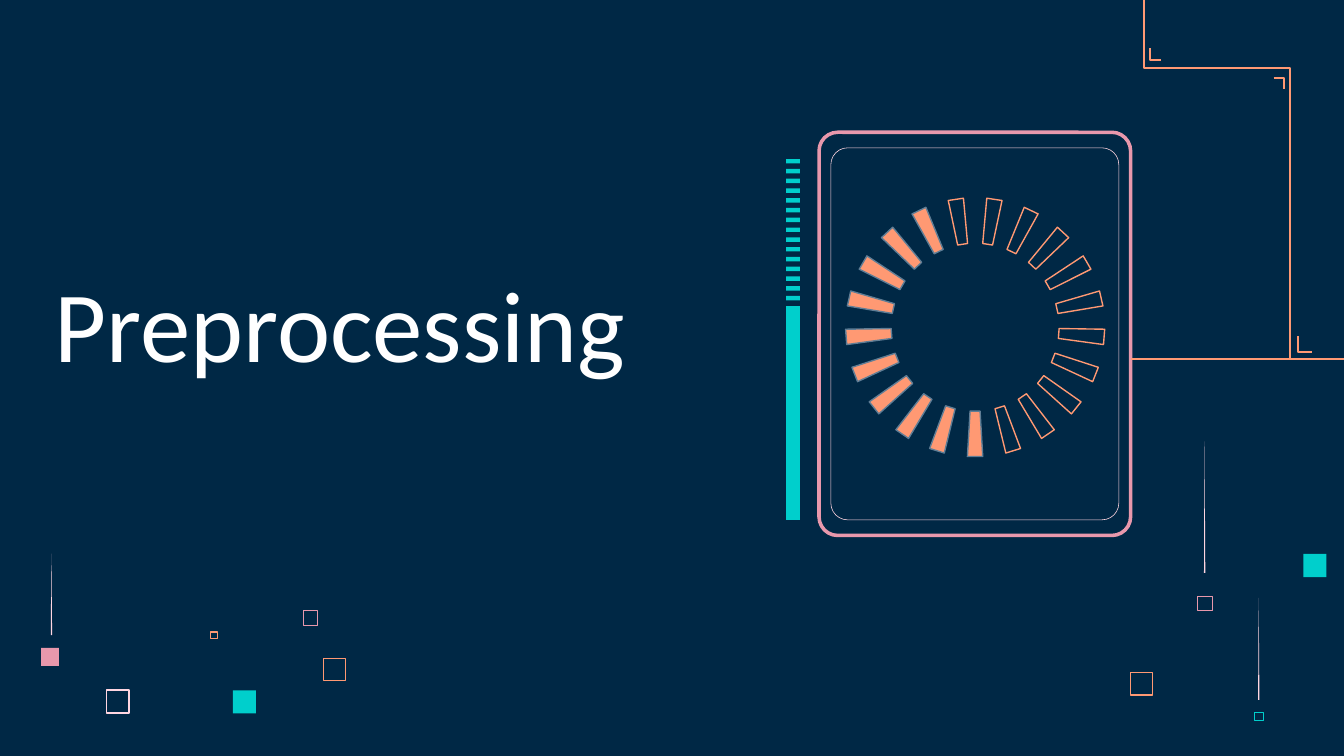
from dataclasses import dataclass
from math import cos, radians, sin
from typing import Optional

from pptx import Presentation
from pptx.dml.color import RGBColor
from pptx.enum.shapes import MSO_CONNECTOR, MSO_SHAPE
from pptx.enum.text import MSO_ANCHOR
from pptx.oxml.xmlchemy import OxmlElement
from pptx.util import Pt

NAVY = RGBColor(0x00, 0x28, 0x45)
WHITE = RGBColor(0xFF, 0xFF, 0xFF)
PALE_PINK = RGBColor(0xFF, 0xD6, 0xE1)
PINK = RGBColor(0xE8, 0x98, 0xAC)
ORANGE = RGBColor(0xFF, 0x99, 0x73)
TEAL = RGBColor(0x00, 0xCF, 0xCC)
SLATE = RGBColor(0x5F, 0x7D, 0x95)

Points = list[tuple[float, float]]


@dataclass(frozen=True)
class Style:
    fill: Optional[RGBColor] = None
    line: Optional[RGBColor] = None
    width: float = 0.75


@dataclass(frozen=True)
class Box:
    left: float
    top: float
    width: float
    height: float
    style: Style
    radius: float = 0


@dataclass(frozen=True)
class Path:
    points: Points
    style: Style
    closed: bool = True


def apply_style(shape, style: Style) -> None:
    shape.shadow.inherit = False
    if style.fill is None:
        shape.fill.background()
    else:
        shape.fill.solid()
        shape.fill.fore_color.rgb = style.fill
    if style.line is None:
        shape.line.fill.background()
    else:
        shape.line.color.rgb = style.line
        shape.line.width = Pt(style.width)


def draw_box(slide, box: Box) -> None:
    kind = MSO_SHAPE.ROUNDED_RECTANGLE if box.radius else MSO_SHAPE.RECTANGLE
    shape = slide.shapes.add_shape(
        kind, Pt(box.left), Pt(box.top), Pt(box.width), Pt(box.height)
    )
    if box.radius:
        shape.adjustments[0] = box.radius / min(box.width, box.height)
    apply_style(shape, box.style)


def draw_path(slide, path: Path) -> None:
    start, *rest = [(Pt(x), Pt(y)) for x, y in path.points]
    builder = slide.shapes.build_freeform(*start)
    builder.add_line_segments(rest, close=path.closed)
    apply_style(builder.convert_to_shape(), path.style)


def draw_line(slide, x1: float, y1: float, x2: float, y2: float, style: Style) -> None:
    connector = slide.shapes.add_connector(
        MSO_CONNECTOR.STRAIGHT, Pt(x1), Pt(y1), Pt(x2), Pt(y2)
    )
    connector.line.color.rgb = style.line
    connector.line.width = Pt(style.width)
    connector._element.spPr.append(OxmlElement("a:effectLst"))


def square(left: float, top: float, size: float, style: Style) -> Box:
    return Box(left, top, size, size, style)


def streak(left: float, top: float, height: float) -> Path:
    bottom = top + height
    points = [(left + 0.3, top), (left, bottom), (left + 0.7, bottom)]
    return Path(points, Style(fill=PALE_PINK))


def ring_segment(angle: float, style: Style) -> Path:
    corners = [
        (RING_INNER, -HALF_ANGLE), (RING_OUTER, -HALF_ANGLE),
        (RING_OUTER, HALF_ANGLE), (RING_INNER, HALF_ANGLE),
    ]
    points = [
        (RING_X + radius * cos(radians(angle + offset)),
         RING_Y + radius * sin(radians(angle + offset)))
        for radius, offset in corners
    ]
    return Path(points, style)


def draw_title(slide, text: str) -> None:
    box = slide.shapes.add_textbox(Pt(22.3), Pt(162.7), Pt(382.3), Pt(49.7))
    frame = box.text_frame
    frame.word_wrap = True
    frame.vertical_anchor = MSO_ANCHOR.BOTTOM
    frame.margin_left = frame.margin_right = Pt(7.2)
    frame.margin_top = frame.margin_bottom = Pt(7.2)
    paragraph = frame.paragraphs[0]
    paragraph.text = text
    paragraph.font.name = "Calibri"
    paragraph.font.size = Pt(54)
    paragraph.font.color.rgb = WHITE


SQUARES = [
    square(57.1, 369.8, 12.2, Style(line=PALE_PINK, width=0.9)),
    square(162.4, 327.2, 7.8, Style(line=PINK, width=0.6)),
    square(113, 338.6, 3.6, Style(line=ORANGE, width=0.6)),
    square(173.1, 352.6, 12.2, Style(line=ORANGE, width=0.6)),
    square(124.7, 369.8, 12.4, Style(fill=TEAL)),
    square(641.5, 319.3, 7.9, Style(line=PINK, width=0.23)),
    square(22, 347.1, 9.6, Style(fill=PINK)),
    square(672.1, 381.6, 4.5, Style(line=TEAL, width=0.23)),
    square(605.5, 360.2, 12.2, Style(line=ORANGE, width=0.6)),
    square(698.2, 296.8, 12.4, Style(fill=TEAL)),
]
STREAKS = [streak(645, 236.5, 70.4), streak(27.2, 296.6, 43.7), streak(674, 320.3, 54.7)]

FRAMES = [
    Box(438.8, 70.9, 166.9, 216, Style(line=PINK, width=1.9), 10),
    Box(445.1, 79.2, 154.3, 199.3, Style(line=PALE_PINK, width=0.3), 9),
]
BAR_LEFT, BAR_WIDTH = 421.1, 7.5
TICK_TOP, TICK_STEP, TICK_HEIGHT, TICK_COUNT = 85.2, 5.24, 2.4, 15
BARS = [
    Box(BAR_LEFT, TICK_TOP + i * TICK_STEP, BAR_WIDTH, TICK_HEIGHT, Style(fill=TEAL))
    for i in range(TICK_COUNT)
] + [Box(BAR_LEFT, 164, BAR_WIDTH, 114.5, Style(fill=TEAL))]

CIRCUIT = Style(line=ORANGE, width=1.1)
CIRCUIT_PATHS = [
    Path([(612.9, 0), (612.9, 36.4), (691, 36.4), (691, 192.3)], CIRCUIT, False),
    Path([(695.3, 180.2), (695.3, 188.4), (703, 188.4)], CIRCUIT, False),
    Path([(682.3, 41.7), (687.8, 41.7), (687.8, 47.8)], CIRCUIT, False),
    Path([(616.1, 25.9), (616.1, 32.1), (621.9, 32.1)], CIRCUIT, False),
]

RING_X, RING_Y = 522.4, 175.3
RING_OUTER, RING_INNER = 69.4, 45
SEGMENT_COUNT, FILLED_COUNT, HALF_ANGLE = 21, 10, 3.4
FILLED = Style(fill=ORANGE, line=SLATE)
HOLLOW = Style(line=ORANGE)
RING = [
    ring_segment(90 + i * 360 / SEGMENT_COUNT, FILLED if i < FILLED_COUNT else HOLLOW)
    for i in range(SEGMENT_COUNT)
]


def main() -> None:
    presentation = Presentation()
    presentation.slide_width = Pt(720)
    presentation.slide_height = Pt(405)
    slide = presentation.slides.add_slide(presentation.slide_layouts[6])
    slide.background.fill.solid()
    slide.background.fill.fore_color.rgb = NAVY

    for box in SQUARES:
        draw_box(slide, box)
    for path in STREAKS:
        draw_path(slide, path)
    draw_title(slide, "Preprocessing")
    for box in FRAMES + BARS:
        draw_box(slide, box)
    draw_line(slide, 605.7, 192.3, 720, 192.3, CIRCUIT)
    for path in CIRCUIT_PATHS + RING:
        draw_path(slide, path)

    presentation.save("out.pptx")


if __name__ == "__main__":
    main()
